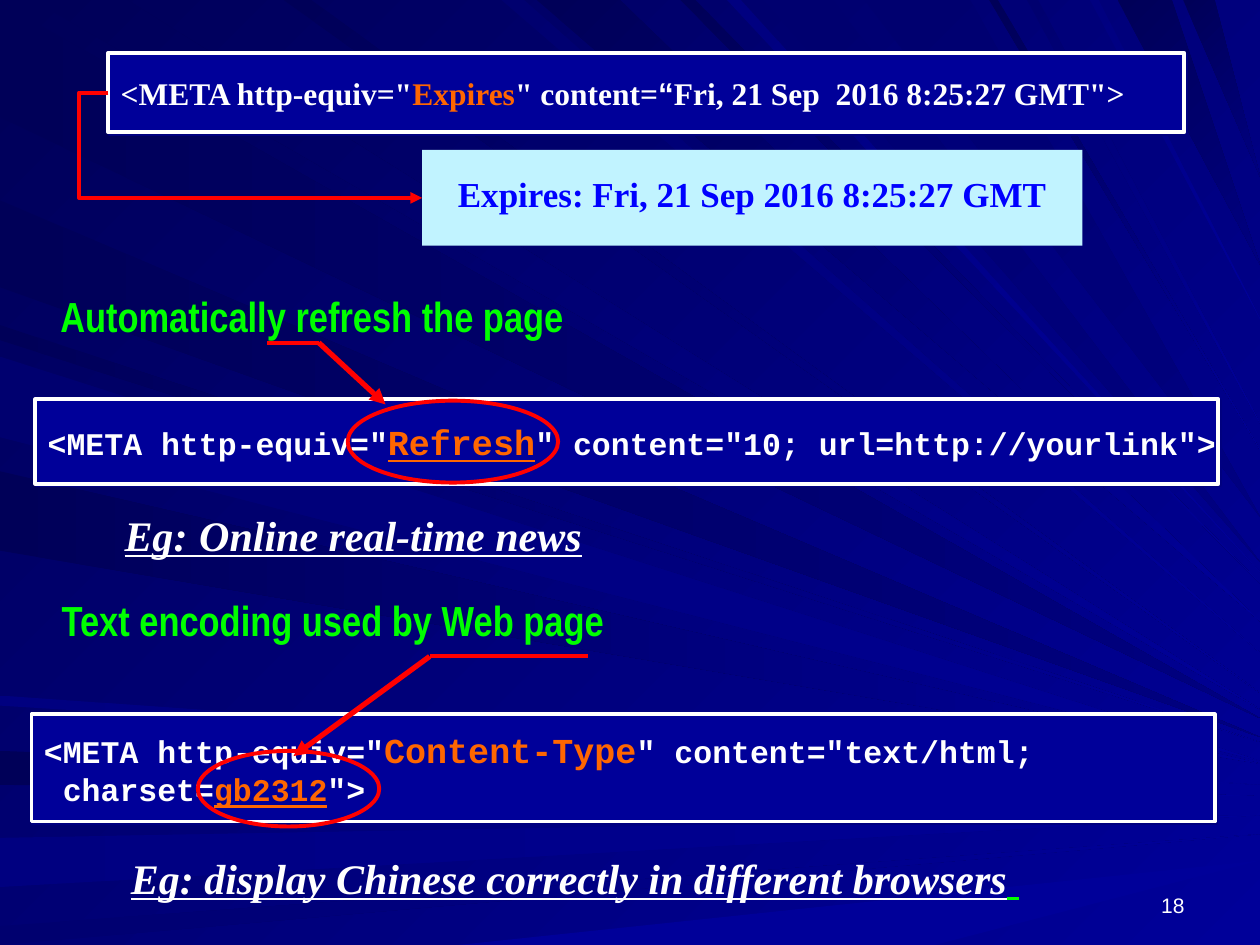
from dataclasses import dataclass
from typing import Any, Optional

import lxml.etree
import pptx
import pptx.dml.color
import pptx.enum.shapes
import pptx.enum.text
import pptx.oxml
import pptx.oxml.ns
import pptx.util

Inches = pptx.util.Inches
Pt = pptx.util.Pt
RGBColor = pptx.dml.color.RGBColor
Align = pptx.enum.text.PP_ALIGN
Anchor = pptx.enum.text.MSO_ANCHOR
Shape = pptx.enum.shapes.MSO_SHAPE
Connector = pptx.enum.shapes.MSO_CONNECTOR
qn = pptx.oxml.ns.qn

WHITE = RGBColor(0xFF, 0xFF, 0xFF)
RED = RGBColor(0xFF, 0x00, 0x00)
ORANGE = RGBColor(0xFF, 0x66, 0x00)
GREEN = RGBColor(0x00, 0xFF, 0x00)
BLUE = RGBColor(0x00, 0x00, 0xFF)
PALE = RGBColor(0xC1, 0xF3, 0xFF)
MIDNIGHT = RGBColor(0x00, 0x00, 0x58)
DUSK = RGBColor(0x00, 0x00, 0x6F)
NAVY = RGBColor(0x00, 0x00, 0x80)
ROYAL = RGBColor(0x00, 0x00, 0x99)

WIDTH, HEIGHT = 10, 7.5
SERIF, SANS, NARROW, MONO = "Times New Roman", "Arial", "Arial Narrow", "Courier New"
Point = tuple[float, float]


@dataclass
class Beam:
    near: float
    far: float
    tip: float
    start: RGBColor = MIDNIGHT
    end: RGBColor = ROYAL


@dataclass
class Callout:
    elbow: Point
    tip: Point
    rule_end: Point


@dataclass
class Label:
    box: tuple[float, float, float, float]
    runs: list[tuple[str, dict[str, Any]]]
    align: Align = Align.LEFT
    anchor: Anchor = Anchor.TOP
    spacing: float = 0.8


LEFT_BEAMS = [
    Beam(0.02, 0.93, 5.7, end=NAVY),
    Beam(5.96, 6.23, 6.32),
    Beam(6.65, 7.04, 6.47, NAVY),
    Beam(7.35, 7.5, 6.62, DUSK),
    Beam(2.58, 2.7, 5.89),
    Beam(1.59, 2.28, 5.85, end=NAVY),
    Beam(3.74, 4.37, 6.06),
    Beam(5.52, 5.6, 6.23, NAVY),
    Beam(2.83, 3.47, 6.04, DUSK),
]
TOP_BEAMS = [
    Beam(0.26, 1.01, 5.63),
    Beam(2.25, 2.47, 5.5),
    Beam(3.98, 4.16, 5.18, DUSK),
    Beam(4.26, 4.92, 4.93),
    Beam(5.4, 5.52, 4.63),
    Beam(6.06, 6.61, 4.46, DUSK, NAVY),
    Beam(5.77, 5.88, 4.54, NAVY),
    Beam(6.86, 7.7, 4.1, DUSK, NAVY),
    Beam(7.85, 7.92, 3.57),
    Beam(8.15, 8.24, 3.36, DUSK),
    Beam(8.65, 8.72, 2.53, NAVY),
    Beam(8.87, 9.3, 2.1, end=NAVY),
    Beam(9.39, 9.64, 1.4, end=NAVY),
]
BOTTOM_BEAMS = [Beam(3.64, 7.42, 6.83, ROYAL)]

SERIF_CODE = dict(font=SERIF, size=18, bold=True)
CODE = dict(font=MONO, size=18, bold=True)
KEY = CODE | dict(size=20, color=ORANGE)
HEADING = dict(font=NARROW, size=24, color=GREEN, bold=True)
EXAMPLE = dict(font=SERIF, size=24, bold=True, italic=True, underline=True)

EXPIRES_CODE = [[
    ('<META http-equiv="', SERIF_CODE), ("Expires", SERIF_CODE | dict(color=ORANGE)),
    ('" content=', SERIF_CODE), ("“", SERIF_CODE | dict(font=SANS)),
    ('Fri, 21 Sep  2016 8:25:27 GMT">', SERIF_CODE),
]]
REFRESH_CODE = [[
    ('<META http-equiv="', CODE), ("Refresh", KEY | dict(underline=True)),
    ('" content="10; url=http://yourlink">', CODE),
]]
CHARSET_CODE = [
    [('<META http-equiv="', CODE), ("Content-Type", KEY), ('" content="text/html;', CODE)],
    [(" charset=", CODE), ("gb2312", CODE | dict(color=ORANGE, underline=True)), ('">', CODE)],
]
HEADER = [[("Expires: Fri, 21 Sep 2016 8:25:27 GMT", dict(font=SERIF, size=20, color=BLUE, bold=True))]]

LABELS = [
    Label((7.17, 6.83, 2.33, 0.5), [("18", dict(font=SANS, size=12))], Align.RIGHT, Anchor.BOTTOM, 1.0),
    Label((0.38, 2.33, 5.19, 0.42), [("Automatically refresh the page", HEADING)]),
    Label((0.39, 4.75, 5.53, 0.42), [("Text encoding used by Web page", HEADING)]),
    Label((0.89, 4.07, 5.36, 0.42), [
        ("Eg:", EXAMPLE), (" ", EXAMPLE | dict(font=SANS)), ("Online real-time news", EXAMPLE)]),
    Label((0.94, 6.79, 7.25, 0.42), [
        ("Eg: display Chinese correctly in different browsers", EXAMPLE),
        (" ", EXAMPLE | dict(font=SANS, color=GREEN))]),
]
CALLOUTS = [
    Callout((3.41, 5.21), (2.33, 6), (4.67, 5.21)),
    Callout((2.53, 2.72), (3.06, 3.21), (2.12, 2.72)),
]
RINGS = [(2.76, 3.18, 1.67, 0.65), (1.57, 5.96, 1.44, 0.6)]


def add_run(p, text: str, *, font: str, size: float, color: RGBColor = WHITE,
            bold: bool = False, italic: bool = False, underline: bool = False) -> None:
    r = p.add_run()
    r.text = text
    f = r.font
    f.name, f.size, f.bold, f.italic, f.underline = font, Pt(size), bold, italic, underline
    f.color.rgb = color


def fill_gradient(fill, start: RGBColor, end: RGBColor, angle: int) -> None:
    fill.gradient()
    fill.gradient_angle = 360 - angle
    for stop, color in zip(fill.gradient_stops, (start, end)):
        stop.color.rgb = color


def draw_beam(s, beam: Beam, near: Point, far: Point, angle: int) -> None:
    first, *rest = [(Inches(x), Inches(y)) for x, y in (near, far, (WIDTH, beam.tip))]
    builder = s.shapes.build_freeform(*first)
    builder.add_line_segments(rest, close=True)
    sp = builder.convert_to_shape()
    sp.shadow.inherit = False
    sp.line.fill.background()
    fill_gradient(sp.fill, beam.start, beam.end, angle)


def draw_shape(s, kind, box, fill: Optional[RGBColor] = None, line: Optional[RGBColor] = None):
    sp = s.shapes.add_shape(kind, *map(Inches, box))
    sp.shadow.inherit = False
    if fill is None:
        sp.fill.background()
    else:
        sp.fill.solid()
        sp.fill.fore_color.rgb = fill
    if line is None:
        sp.line.fill.background()
    else:
        sp.line.color.rgb, sp.line.width = line, Pt(2.25)
    return sp


def write(sp, paragraphs, align=Align.LEFT, anchor=Anchor.MIDDLE, spacing=1.0, wrap=False) -> None:
    tf = sp.text_frame
    tf.word_wrap, tf.vertical_anchor = wrap, anchor
    for i, runs in enumerate(paragraphs):
        p = tf.add_paragraph() if i else tf.paragraphs[0]
        p.alignment, p.line_spacing = align, spacing
        for text, style in runs:
            add_run(p, text, **style)


def draw_code_box(s, box, paragraphs):
    sp = draw_shape(s, Shape.RECTANGLE, box, ROYAL, WHITE)
    effects = sp._element.spPr.find(qn("a:effectLst"))
    shadow = lxml.etree.SubElement(effects, qn("a:outerShdw"), dist=str(Pt(1.4)), dir="2700000")
    lxml.etree.SubElement(shadow, qn("a:srgbClr"), val=str(NAVY))
    write(sp, paragraphs)
    return sp


def draw_line(s, start: Point, end: Point, width=2.25, arrow=False, kind=Connector.STRAIGHT):
    c = s.shapes.add_connector(kind, *map(Inches, (*start, *end)))
    c.line.color.rgb, c.line.width = RED, Pt(width)
    if arrow:
        lxml.etree.SubElement(c.line._get_or_add_ln(), qn("a:tailEnd"), type="triangle")
    lxml.etree.SubElement(c._element.spPr, qn("a:effectLst"))
    return c


def main() -> None:
    prs = pptx.Presentation()
    prs.slide_width, prs.slide_height = Inches(WIDTH), Inches(HEIGHT)
    s = prs.slides.add_slide(prs.slide_layouts[6])
    fill_gradient(s.background.fill, MIDNIGHT, ROYAL, 45)
    for beam in LEFT_BEAMS:
        draw_beam(s, beam, (0, beam.near), (0, beam.far), 0)
    for beams, y in ((TOP_BEAMS, 0), (BOTTOM_BEAMS, HEIGHT)):
        for beam in beams:
            draw_beam(s, beam, (beam.near, y), (beam.far, y), 45)

    expires = draw_code_box(s, (0.86, 0.42, 8.54, 0.63), EXPIRES_CODE)
    header = draw_shape(s, Shape.RECTANGLE, (3.35, 1.19, 5.24, 0.76), PALE)
    write(header, HEADER, Align.CENTER, spacing=0.8)
    link = draw_line(s, (0.86, 0.73), (3.35, 1.57), arrow=True, kind=Connector.ELBOW)
    link.begin_connect(expires, 1)
    link.end_connect(header, 1)
    guides = link._element.spPr.find(qn("a:prstGeom")).get_or_add_avLst()
    lxml.etree.SubElement(guides, qn("a:gd"), name="adj1", fmla="val -9400")

    draw_code_box(s, (0.28, 3.17, 9.39, 0.67), REFRESH_CODE)
    draw_code_box(s, (0.25, 5.67, 9.39, 0.85), CHARSET_CODE)
    for callout in CALLOUTS:
        draw_line(s, callout.elbow, callout.tip, 3, arrow=True)
        draw_line(s, callout.elbow, callout.rule_end)
    for box in RINGS:
        draw_shape(s, Shape.OVAL, box, line=RED)
    for label in LABELS:
        sp = s.shapes.add_textbox(*map(Inches, label.box))
        write(sp, [label.runs], label.align, label.anchor, label.spacing, wrap=True)
    prs.save("out.pptx")


if __name__ == "__main__":
    main()
